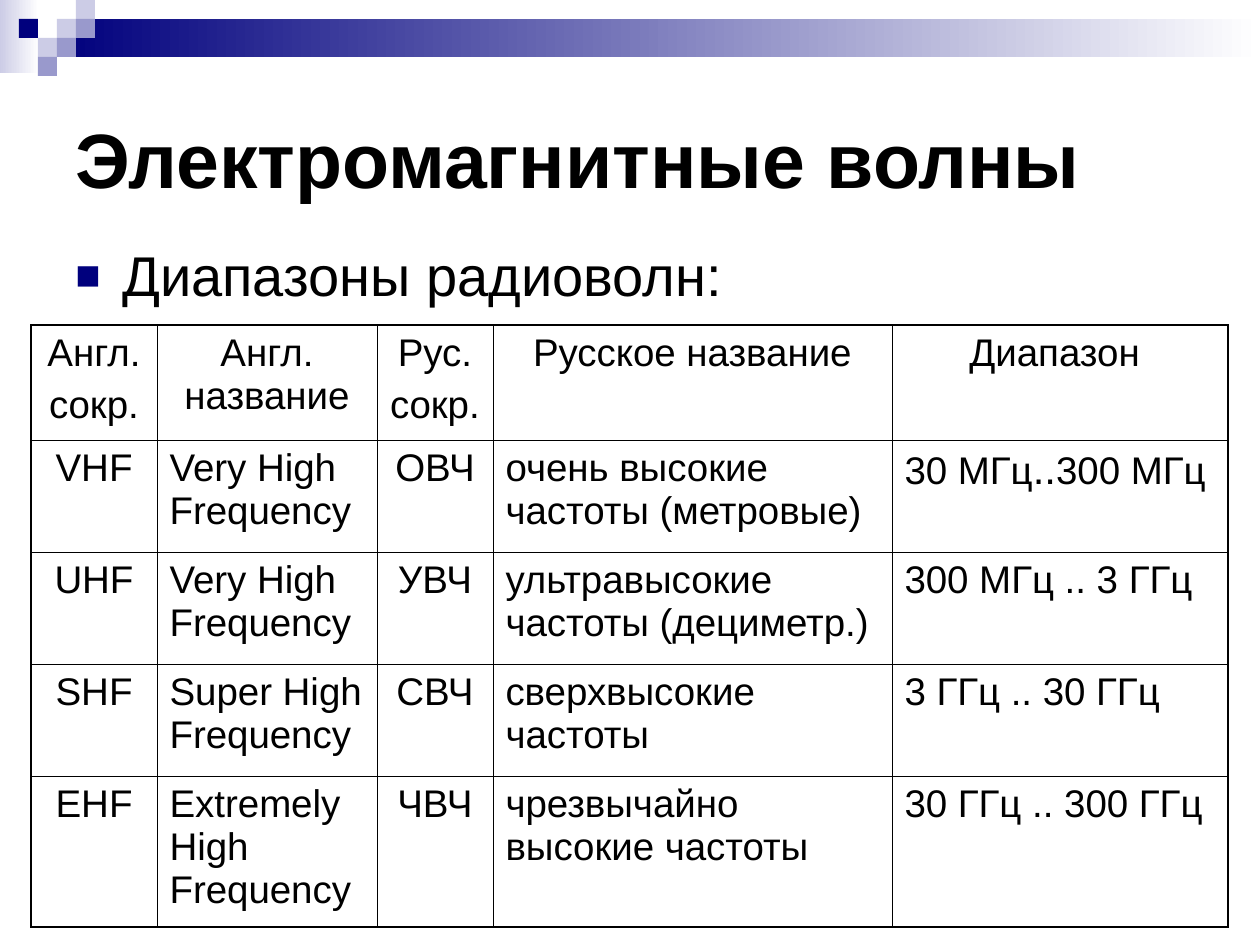
from lxml import etree
from pptx import Presentation
from pptx.dml.color import RGBColor
from pptx.enum.shapes import MSO_SHAPE
from pptx.enum.text import MSO_ANCHOR, PP_ALIGN
from pptx.oxml.ns import qn
from pptx.util import Emu, Pt

RECTANGLE = MSO_SHAPE.RECTANGLE
MIDDLE, TOP = MSO_ANCHOR.MIDDLE, MSO_ANCHOR.TOP
LEFT, CENTER = PP_ALIGN.LEFT, PP_ALIGN.CENTER

COLORS = {"navy": "00007D", "lilac": "CCCCE6", "violet": "9999CC",
          "white": "FFFFFF", "black": "000000"}
FONT = "Arial"

TITLE = "Электромагнитные волны"
BULLET = "Диапазоны радиоволн:"
# A cell is a list of paragraphs, a paragraph a list of (text, size) spans.
CELL_SIZE = 22
HEADER = ["Англ.\nсокр.", "Англ. название", "Рус.\nсокр.", "Русское название", "Диапазон "]
BANDS = [
    ["VHF", "Very High Frequency", "ОВЧ", "очень высокие частоты (метровые)",
     [("30 МГц", 22), ("..", 24), ("300 МГц", 22)]],
    ["UHF", "Very High Frequency", "УВЧ", "ультравысокие частоты (дециметр.)",
     "300 МГц .. 3 ГГц"],
    ["SHF", "Super High Frequency", "СВЧ", "сверхвысокие частоты", "3 ГГц .. 30 ГГц"],
    ["EHF", "Extremely High Frequency", "ЧВЧ", "чрезвычайно высокие частоты",
     "30 ГГц .. 300 ГГц"],
]
CENTERED_COLUMNS = (0, 2)
COLUMN_WIDTHS = [126, 220, 116, 399, 336]
ROW_HEIGHTS = [115, 112, 112, 112, 151]
TABLE_LEFT, TABLE_TOP = 31, 325
THIN, THICK = 0.45, 1.08

SQUARE = 19
SQUARES = [  # column, row, colour
    (3, 1, "lilac"), (4, 0, "lilac"), (4, 1, "violet"), (2, 2, "lilac"),
    (1, 1, "navy"), (3, 2, "violet"), (2, 3, "violet"),
]
GRADIENTS = [  # left, top, width, height, first colour
    (0, 0, 39, 73, "lilac"),
    (57, 19, 1203, 38, "navy"),
]


def px(length):
    return Emu(round(length * 914400 / 126))


def color(name):
    return RGBColor.from_string(COLORS[name])


def add_rectangle(page, left, top, width, height, name, fade_to=None):
    box = page.shapes.add_shape(RECTANGLE, px(left), px(top), px(width), px(height))
    box.shadow.inherit = False
    box.line.fill.background()
    if fade_to:
        box.fill.gradient()
        box.fill.gradient_angle = 0
        for stop, position, shade in zip(box.fill.gradient_stops, (0, 1), (name, fade_to)):
            stop.position = position
            stop.color.rgb = color(shade)
    else:
        box.fill.solid()
        box.fill.fore_color.rgb = color(name)


def write(frame, text, size, bold=False, align=LEFT, before=0, spacing=None):
    """Fill a frame with text, one paragraph a line, or with (text, size) spans."""
    frame.word_wrap = True
    if isinstance(text, str):
        lines = [[(line, size)] for line in text.split("\n")]
    else:
        lines = [text]
    for index, line in enumerate(lines):
        para = frame.add_paragraph() if index else frame.paragraphs[0]
        para.alignment = align
        para.space_before = Pt(before)
        if spacing:
            para.line_spacing = spacing
        for words, points in line:
            span = para.add_run()
            span.text = words
            span.font.name = FONT
            span.font.size = Pt(points)
            span.font.bold = bold
            span.font.color.rgb = color("black")


def add_text(page, left, top, width, height, text, anchor=TOP, **style):
    frame = page.shapes.add_textbox(px(left), px(top), px(width), px(height)).text_frame
    frame.vertical_anchor = anchor
    write(frame, text, **style)
    return frame


def add_bullet(para, indent):
    properties = para._p.get_or_add_pPr()
    properties.set("marL", str(px(indent)))
    properties.set("indent", str(-px(indent)))
    shade = etree.SubElement(properties, qn("a:buClr"))
    etree.SubElement(shade, qn("a:srgbClr"), val=COLORS["navy"])
    etree.SubElement(properties, qn("a:buSzPct"), val="75000")
    etree.SubElement(properties, qn("a:buFont"), typeface=FONT)
    etree.SubElement(properties, qn("a:buChar"), char="■")


def add_borders(cell, widths):
    properties = cell._tc.get_or_add_tcPr()
    for side, width in widths.items():
        line = etree.SubElement(properties, qn("a:ln" + side), w=str(Pt(width)))
        fill = etree.SubElement(line, qn("a:solidFill"))
        etree.SubElement(fill, qn("a:srgbClr"), val=COLORS["black"])


def add_band_table(page):
    rows = [HEADER] + BANDS
    last_row, last_column = len(rows) - 1, len(HEADER) - 1
    table = page.shapes.add_table(
        len(rows), len(HEADER), px(TABLE_LEFT), px(TABLE_TOP),
        px(sum(COLUMN_WIDTHS)), px(sum(ROW_HEIGHTS))).table
    table.first_row = table.horz_banding = False
    for column, width in zip(table.columns, COLUMN_WIDTHS):
        column.width = px(width)
    for row, height in zip(table.rows, ROW_HEIGHTS):
        row.height = px(height)
    for r, row in enumerate(rows):
        for c, text in enumerate(row):
            cell = table.cell(r, c)
            centered = r == 0 or c in CENTERED_COLUMNS
            write(cell.text_frame, text, CELL_SIZE,
                  align=CENTER if centered else LEFT, before=5.5)
            outer = {"L": c == 0, "R": c == last_column, "T": r == 0, "B": r == last_row}
            add_borders(cell, {side: THICK if edge else THIN for side, edge in outer.items()})
            cell.fill.background()


def main():
    deck = Presentation()
    deck.slide_width, deck.slide_height = px(1260), px(945)
    page = deck.slides.add_slide(deck.slide_layouts[6])
    for left, top, width, height, name in GRADIENTS:
        add_rectangle(page, left, top, width, height, name, fade_to="white")
    for column, row, name in SQUARES:
        add_rectangle(page, column * SQUARE, row * SQUARE, SQUARE, SQUARE, name)
    add_text(page, 63, 63, 1134, 189, TITLE, anchor=MIDDLE, size=44, bold=True)
    body = add_text(page, 63, 242, 1134, 73, BULLET, size=32, before=8, spacing=0.9)
    add_bullet(body.paragraphs[0], indent=47)
    add_band_table(page)
    deck.save("out.pptx")


if __name__ == "__main__":
    main()
